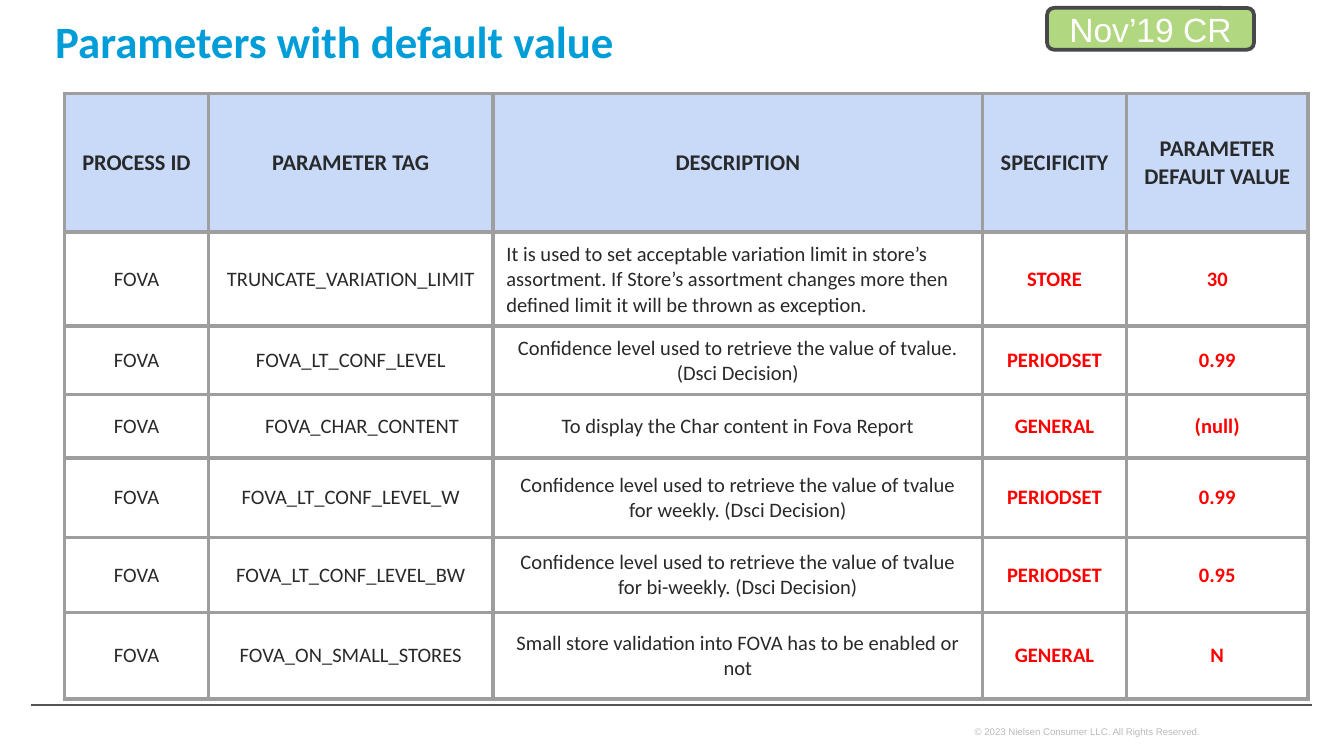
"""Build the slide that lists the FOVA parameters and their default values."""
from lxml import etree
from pptx import Presentation
from pptx.dml.color import RGBColor
from pptx.enum.shapes import MSO_CONNECTOR, MSO_SHAPE
from pptx.enum.text import MSO_ANCHOR, PP_ALIGN
from pptx.oxml import parse_xml
from pptx.oxml.ns import nsdecls, qn
from pptx.util import Cm, Pt

LEFT, CENTER = PP_ALIGN.LEFT, PP_ALIGN.CENTER
TOP, MIDDLE = MSO_ANCHOR.TOP, MSO_ANCHOR.MIDDLE
ROUNDED, STRAIGHT = MSO_SHAPE.ROUNDED_RECTANGLE, MSO_CONNECTOR.STRAIGHT

BLUE = RGBColor(0x00, 0x9D, 0xD9)
HEADER_BLUE = RGBColor(0xC9, 0xDA, 0xF8)
INK = RGBColor(0x28, 0x29, 0x2A)
RED = RGBColor(0xFF, 0x00, 0x00)
GREEN = RGBColor(0xB1, 0xD7, 0x80)
DARK_GRAY = RGBColor(0x46, 0x48, 0x49)
RULE_GRAY = RGBColor(0x55, 0x55, 0x55)
BORDER_GRAY = RGBColor(0x9E, 0x9E, 0x9E)
FOOTER_GRAY = RGBColor(0xBB, 0xBB, 0xBB)
WHITE = RGBColor(0xFF, 0xFF, 0xFF)


def write_text(frame, text, size, color, font="Calibri", bold=False, align=CENTER):
    paragraph = frame.paragraphs[0]
    paragraph.alignment = align
    run = paragraph.add_run()
    run.text = text
    run.font.name = font
    run.font.size = Pt(size)
    run.font.bold = bold
    run.font.color.rgb = color


def add_borders(cell, color, width):
    properties = cell._tc.get_or_add_tcPr()
    for side in ("lnL", "lnR", "lnT", "lnB"):
        properties.append(parse_xml(
            f'<a:{side} {nsdecls("a")} w="{Pt(width)}"><a:solidFill>'
            f'<a:srgbClr val="{color}"/></a:solidFill></a:{side}>'))


presentation = Presentation()
presentation.slide_width = Cm(25.4)
presentation.slide_height = Cm(14.29)
slide = presentation.slides.add_slide(presentation.slide_layouts[5])

footer = slide.shapes.add_textbox(Cm(18.42), Cm(13.59), Cm(5.41), Cm(0.48)).text_frame
footer.word_wrap = True
footer.margin_left = footer.margin_right = 0
write_text(footer, "© 2023 Nielsen Consumer LLC. All Rights Reserved.", 5.2, FOOTER_GRAY,
           font="Arial", align=LEFT)

footer_rule = slide.shapes.add_connector(STRAIGHT, Cm(0.59), Cm(13.33), Cm(24.79), Cm(13.33))
footer_rule.line.color.rgb = RULE_GRAY
footer_rule.line.width = Pt(1)
etree.SubElement(footer_rule._element.spPr, qn("a:effectLst"))

rows = [
    ("PROCESS ID", "PARAMETER TAG", "DESCRIPTION", "SPECIFICITY", "PARAMETER DEFAULT VALUE"),
    ("FOVA", "TRUNCATE_VARIATION_LIMIT",
     "It is used to set acceptable variation limit in store’s assortment. If Store’s "
     "assortment changes more then defined limit it will be thrown as exception.",
     "STORE", "30"),
    ("FOVA", "FOVA_LT_CONF_LEVEL",
     "Confidence level used to retrieve the value of tvalue. (Dsci Decision)",
     "PERIODSET", "0.99"),
    ("FOVA", "FOVA_CHAR_CONTENT", "To display the Char content in Fova Report",
     "GENERAL", "(null)"),
    ("FOVA", "FOVA_LT_CONF_LEVEL_W",
     "Confidence level used to retrieve the value of tvalue for weekly. (Dsci Decision)",
     "PERIODSET", "0.99"),
    ("FOVA", "FOVA_LT_CONF_LEVEL_BW",
     "Confidence level used to retrieve the value of tvalue for bi-weekly. (Dsci Decision)",
     "PERIODSET", "0.95"),
    ("FOVA", "FOVA_ON_SMALL_STORES",
     "Small store validation into FOVA has to be enabled or not", "GENERAL", "N"),
]
column_widths = [2.72, 5.38, 9.25, 2.72, 3.43]
row_heights = [2.62, 1.77, 1.3, 1.2, 1.5, 1.42, 1.63]

table = slide.shapes.add_table(
    len(rows), len(column_widths), Cm(1.22), Cm(1.77),
    Cm(sum(column_widths)), Cm(sum(row_heights))).table
table.first_row = table.horz_banding = False
for column, width in zip(table.columns, column_widths):
    column.width = Cm(width)
for row, height in zip(table.rows, row_heights):
    row.height = Cm(height)

for row_index, texts in enumerate(rows):
    is_header = row_index == 0
    for column_index, text in enumerate(texts):
        cell = table.cell(row_index, column_index)
        is_value = column_index >= 3 and not is_header
        is_long = len(text) > 100
        cell.vertical_anchor = MIDDLE
        cell.margin_left = Cm(0.68 if text == "FOVA_CHAR_CONTENT" else 0.25)
        cell.margin_right = Cm(0.25)
        cell.margin_top = cell.margin_bottom = Cm(0.18)
        add_borders(cell, BORDER_GRAY, 2.25)
        if is_header:
            cell.fill.solid()
            cell.fill.fore_color.rgb = HEADER_BLUE
        else:
            cell.fill.background()
        write_text(cell.text_frame, text, 12 if is_header else 11, RED if is_value else INK,
                   bold=is_header or is_value, align=LEFT if is_long else CENTER)

title = slide.shapes.title
title.left, title.top, title.width, title.height = Cm(0.79), Cm(0.13), Cm(11.56), Cm(0.79)
title.text_frame.vertical_anchor = TOP
title.text_frame.word_wrap = True
write_text(title.text_frame, "Parameters with default value", 24, BLUE, bold=True, align=LEFT)

badge = slide.shapes.add_shape(ROUNDED, Cm(19.79), Cm(0.15), Cm(3.91), Cm(0.79))
badge.shadow.inherit = False
badge.fill.solid()
badge.fill.fore_color.rgb = GREEN
badge.line.color.rgb = DARK_GRAY
badge.line.width = Pt(2)
badge.text_frame.vertical_anchor = MIDDLE
write_text(badge.text_frame, "Nov’19 CR", 18, WHITE, font="Arial")

presentation.save("out.pptx")
